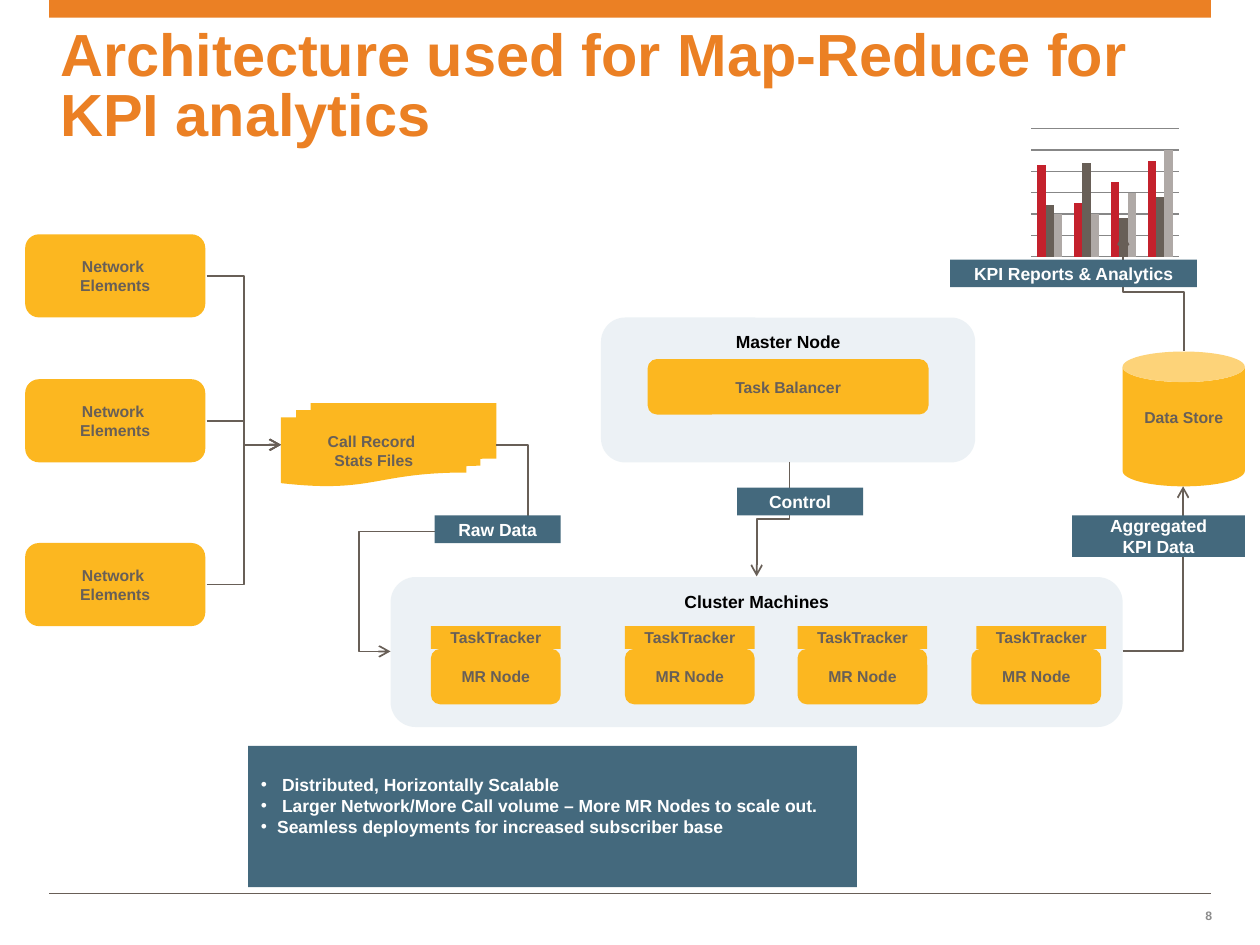
"""Build a slide on the map-reduce architecture for KPI analytics, on a grid of 100 columns by 75 rows."""
import pptx
import pptx.chart.data
import pptx.dml.color
import pptx.enum.chart
import pptx.enum.shapes
import pptx.enum.text
import pptx.oxml
import pptx.oxml.ns
import pptx.util
from lxml import etree

WIDTH, HEIGHT = pptx.util.Inches(10), pptx.util.Inches(7.5)
COLUMN, ROW = WIDTH / 100, HEIGHT / 75
COLORS = {
    "orange": "EB8024", "amber": "FCB720", "slate": "44697D", "mist": "D6E2E9",
    "brown": "685F57", "red": "C4212C", "stone": "AFA9A6", "grey": "8C8C8C",
    "grid": "878787", "black": "000000", "white": "FFFFFF",
}
SHAPES = pptx.enum.shapes.MSO_SHAPE
ANCHOR = pptx.enum.text.MSO_ANCHOR
ALIGN = pptx.enum.text.PP_ALIGN


def rgb(name):
    return pptx.dml.color.RGBColor.from_string(COLORS[name])


def cells(left, top, width, height):
    return [round(left * COLUMN), round(top * ROW), round(width * COLUMN), round(height * ROW)]


def add_child(parent, tag, **attributes):
    child = etree.SubElement(parent, pptx.oxml.ns.qn(tag))
    for key, value in attributes.items():
        child.set(key, str(value))
    return child


def write(frame, lines, size, color, align=ALIGN.CENTER, anchor=ANCHOR.MIDDLE):
    frame.word_wrap = True
    frame.auto_size = pptx.enum.text.MSO_AUTO_SIZE.NONE
    frame.vertical_anchor = anchor
    for index, line in enumerate(lines):
        paragraph = frame.add_paragraph() if index else frame.paragraphs[0]
        paragraph.text = line
        paragraph.alignment = align
        paragraph.space_before = pptx.util.Pt(0)
        paragraph.font.name = "Arial"
        paragraph.font.size = pptx.util.Pt(size)
        paragraph.font.bold = True
        paragraph.font.color.rgb = rgb(color)


def clear_insets(frame):
    frame.margin_left = frame.margin_right = frame.margin_top = frame.margin_bottom = 0


def move(shape, box):
    shape.left, shape.top, shape.width, shape.height = cells(*box)


def add_block(slide, kind, box, fill):
    shape = slide.shapes.add_shape(kind, *cells(*box))
    shape.shadow.inherit = False
    shape.fill.solid()
    shape.fill.fore_color.rgb = rgb(fill)
    shape.line.fill.background()
    return shape


def add_node(slide, box, *lines, kind=SHAPES.ROUNDED_RECTANGLE):
    shape = add_block(slide, kind, box, "amber")
    write(shape.text_frame, lines, 9, "brown")
    return shape


def add_label(slide, box, *lines):
    write(add_block(slide, SHAPES.RECTANGLE, box, "slate").text_frame, lines, 10, "white")


def add_group_panel(slide, box, heading):
    shape = add_block(slide, SHAPES.ROUNDED_RECTANGLE, box, "mist")
    color = shape.fill._xPr.find(".//" + pptx.oxml.ns.qn("a:srgbClr"))
    add_child(color, "a:alpha", val=45000)
    write(shape.text_frame, [heading], 10, "black", anchor=ANCHOR.TOP)


def add_line(slide, kind, start, end, weight):
    ends = cells(*start, *end)
    connector = slide.shapes.add_connector(kind, *ends)
    connector.line.color.rgb = rgb("brown")
    connector.line.width = pptx.util.Pt(weight)
    add_child(connector._element.spPr, "a:effectLst")
    return connector


def add_arrow(slide, start, end, preset="bentConnector3", adjustments=(), rotation=0):
    connector = add_line(slide, pptx.enum.shapes.MSO_CONNECTOR.ELBOW, start, end, 1)
    properties = connector._element.spPr
    add_child(connector.line._get_or_add_ln(), "a:tailEnd", type="arrow")
    geometry = properties.find(pptx.oxml.ns.qn("a:prstGeom"))
    geometry.set("prst", preset)
    guides = geometry.find(pptx.oxml.ns.qn("a:avLst"))
    for number, value in enumerate(adjustments, 1):
        add_child(guides, "a:gd", name=f"adj{number}", fmla=f"val {round(value * 100000)}")
    if rotation:
        properties.find(pptx.oxml.ns.qn("a:xfrm")).set("rot", str(rotation * 60000))


def add_kpi_chart(slide, box):
    data = pptx.chart.data.CategoryChartData()
    data.categories = ["1", "2", "3", "4"]
    data.add_series("Series 1", (86, 50, 70, 90))
    data.add_series("Series 2", (48, 88, 36, 56))
    data.add_series("Series 3", (40, 40, 60, 100))
    kind = pptx.enum.chart.XL_CHART_TYPE.COLUMN_CLUSTERED
    chart = slide.shapes.add_chart(kind, *cells(*box), data).chart
    chart.has_legend = chart.has_title = False
    chart.font.name = "Cabin"
    chart.font.size = pptx.util.Pt(18)
    chart.font.color.rgb = rgb("black")
    chart.category_axis.visible = chart.value_axis.visible = False
    axis = chart.value_axis
    axis.minimum_scale, axis.maximum_scale, axis.major_unit = 0, 120, 20
    axis.has_major_gridlines = True
    axis.major_gridlines.format.line.color.rgb = rgb("grid")
    axis.major_gridlines.format.line.width = pptx.util.Pt(0.75)
    plot = chart.plots[0]
    plot.gap_width, plot.overlap, plot.vary_by_categories = 150, 0, False
    for series, color in zip(plot.series, ("red", "brown", "stone")):
        series.format.fill.solid()
        series.format.fill.fore_color.rgb = rgb(color)


def add_title(slide, box, text):
    title = slide.shapes.title
    move(title, box)
    write(title.text_frame, [text], 34, "orange", ALIGN.LEFT, ANCHOR.TOP)
    clear_insets(title.text_frame)
    title.text_frame.paragraphs[0].line_spacing = pptx.util.Pt(34)


def add_benefits(slide, box, lines):
    body = slide.placeholders[1]
    move(body, box)
    body.fill.solid()
    body.fill.fore_color.rgb = rgb("slate")
    write(body.text_frame, lines, 10, "white", ALIGN.LEFT)
    body.text_frame.margin_bottom = pptx.util.Inches(0.22)
    indent = pptx.util.Inches(0.13)
    for paragraph in body.text_frame.paragraphs:
        properties = paragraph._p.get_or_add_pPr()
        properties.set("marL", str(indent))
        properties.set("indent", str(-indent))


def add_page_number(slide, box, number):
    frame = slide.shapes.add_textbox(*cells(*box)).text_frame
    write(frame, [number], 7, "grey", ALIGN.RIGHT)
    clear_insets(frame)


def main():
    presentation = pptx.Presentation()
    presentation.slide_width, presentation.slide_height = WIDTH, HEIGHT
    slide = presentation.slides.add_slide(presentation.slide_layouts[1])

    add_line(slide, pptx.enum.shapes.MSO_CONNECTOR.STRAIGHT, (3.9, 70.9), (96.1, 70.9), 0.25)
    add_block(slide, SHAPES.RECTANGLE, (3.9, 0, 92.2, 1.4), "orange")
    add_title(slide, (4.8, 2.3, 91.3, 6.3), "Architecture used for Map-Reduce for KPI analytics")
    add_page_number(slide, (93.8, 70.7, 2.4, 4), "8")

    add_group_panel(slide, (31, 45.8, 58.1, 11.9), "Cluster Machines")
    add_group_panel(slide, (47.7, 25.2, 29.7, 11.5), "Master Node")
    for top in (18.6, 30.1, 43.1):
        add_node(slide, (2, top, 14.3, 6.6), "Network ", "Elements")
        add_arrow(slide, (16.4, top + 3.3), (22.3, 35.3))
    add_node(slide, (22.3, 32, 17.1, 6.6), "Call Record ", "Stats Files",
             kind=SHAPES.FLOWCHART_MULTIDOCUMENT)
    for node_left, tracker_left in ((34.2, 34.2), (49.6, 49.6), (63.3, 63.3), (77.1, 77.5)):
        add_node(slide, (node_left, 51.5, 10.3, 4.4), "MR Node")
        add_node(slide, (tracker_left, 49.7, 10.3, 1.8), "TaskTracker", kind=SHAPES.RECTANGLE)
    add_node(slide, (51.4, 28.5, 22.3, 4.4), "Task Balancer")
    store = add_node(slide, (89.1, 27.9, 9.7, 10.7), "Data Store", kind=SHAPES.CAN)
    store.text_frame.margin_bottom = pptx.util.Inches(0.2)

    add_arrow(slide, (89.1, 51.7), (93.9, 38.6), "bentConnector2")
    add_arrow(slide, (39.4, 35.3), (31, 51.7), "bentConnector5", (-0.3, 0.42, 1.3))
    add_arrow(slide, (56.8, 39.9), (65.9, 42.5), rotation=90)
    add_kpi_chart(slide, (81.6, 10, 12.2, 10.6))
    add_arrow(slide, (86.9, 25.6), (96.2, 20.8), rotation=270)

    add_label(slide, (34.5, 40.9, 10, 2.2), "Raw Data")
    add_label(slide, (85.1, 40.9, 13.7, 3.3), "Aggregated", "KPI Data")
    add_label(slide, (75.4, 20.6, 19.6, 2.2), "KPI Reports & Analytics")
    add_label(slide, (58.5, 38.7, 10, 2.2), "Control")
    add_benefits(slide, (19.7, 59.2, 48.3, 11.2), [
        " Distributed, Horizontally Scalable",
        " Larger Network/More Call volume – More MR Nodes to scale out.",
        "Seamless deployments for increased subscriber base",
    ])
    presentation.save("out.pptx")


if __name__ == "__main__":
    main()
